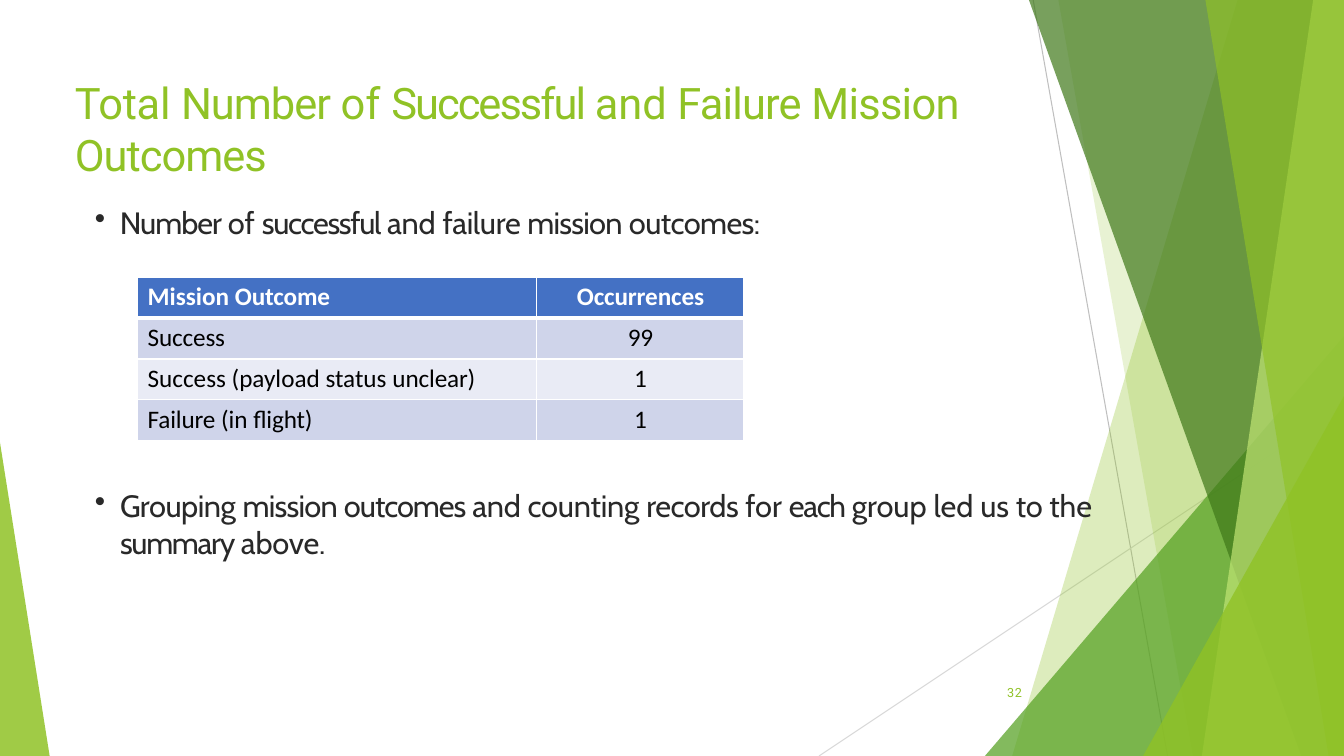
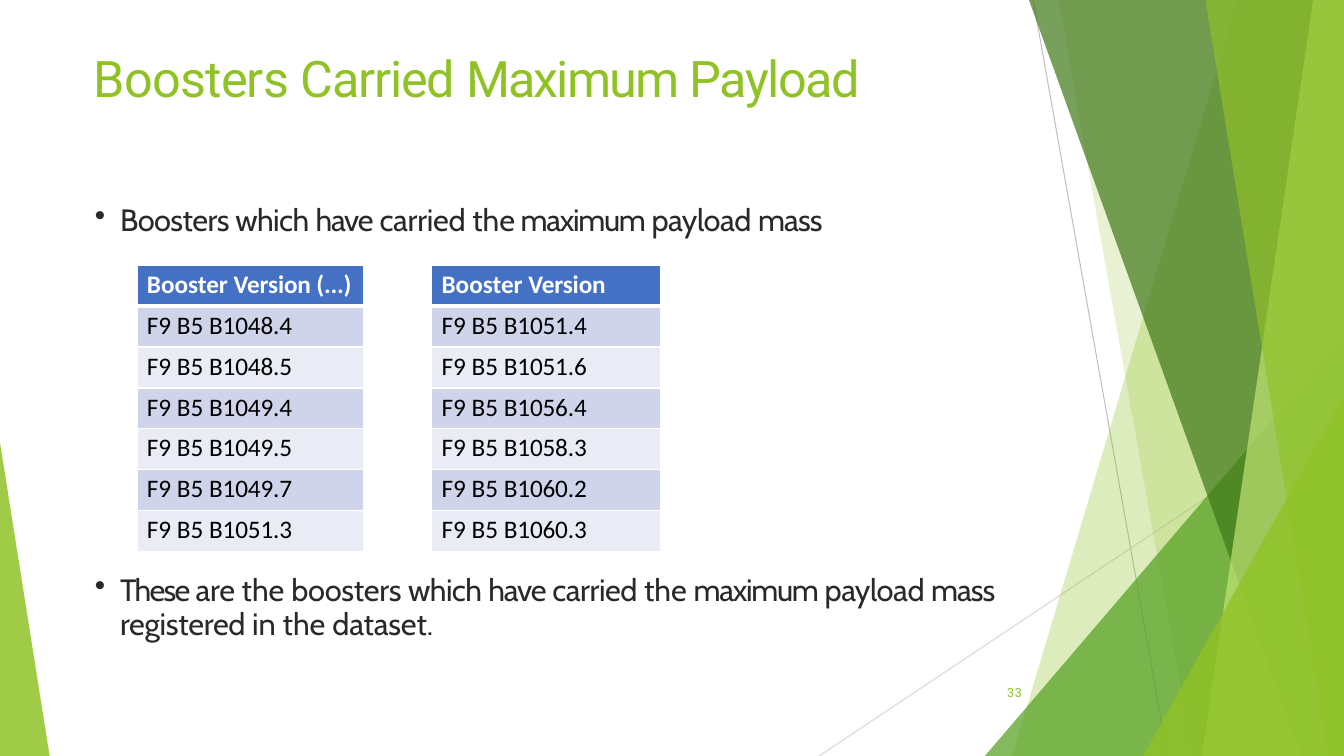
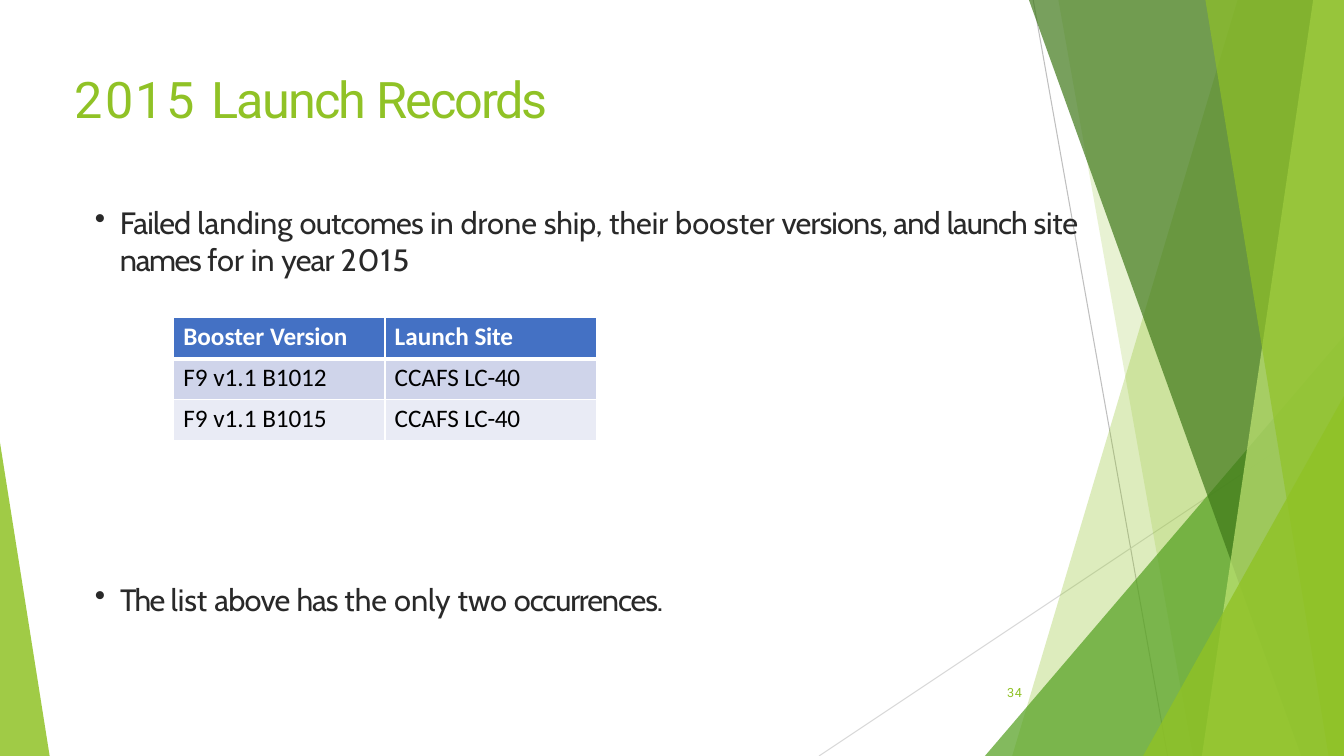
"""Build three slides on launch outcomes with green facet decoration."""
from lxml import etree
from pptx import Presentation
from pptx.dml.color import RGBColor
from pptx.enum.shapes import MSO_CONNECTOR, MSO_SHAPE
from pptx.enum.text import MSO_ANCHOR, MSO_AUTO_SIZE, PP_ALIGN
from pptx.oxml.ns import qn
from pptx.util import Pt

TRIANGLE = MSO_SHAPE.ISOSCELES_TRIANGLE
STRAIGHT = MSO_CONNECTOR.STRAIGHT
TOP, MIDDLE = MSO_ANCHOR.TOP, MSO_ANCHOR.MIDDLE
NO_AUTOSIZE = MSO_AUTO_SIZE.NONE
LEFT, CENTER, RIGHT = PP_ALIGN.LEFT, PP_ALIGN.CENTER, PP_ALIGN.RIGHT

WIDTH, HEIGHT = 960, 540
ROW_HEIGHT = 29.2
BULLET_LEFT = 67
BULLET_INDENT = 18
TITLE_BOX = (53.5, 48, 677, 104)
COLORS = {
    "green": "90C226",
    "mid green": "54A021",
    "dark green": "3F7819",
    "pale green": "C0E474",
    "text": "292929",
    "black": "000000",
    "white": "FFFFFF",
    "gray": "BFBFBF",
    "light gray": "D9D9D9",
    "header": "4471C4",
    "odd row": "CFD4EA",
    "even row": "E9EBF5",
}


def color(name):
    return RGBColor.from_string(COLORS[name])


def points(*values):
    return [Pt(value) for value in values]


class Deck:
    """Hold the shared style and the current slide."""

    def __init__(self):
        self.presentation = Presentation()
        self.presentation.slide_width = Pt(WIDTH)
        self.presentation.slide_height = Pt(HEIGHT)
        self.slide = None

    def add_slide(self, number, title_runs, title_size=36, title_box=TITLE_BOX, title_inset=1):
        layout = self.presentation.slide_layouts[5]
        self.slide = self.presentation.slides.add_slide(layout)
        self.decoration()
        title = self.slide.shapes.title
        title.left, title.top, title.width, title.height = points(*title_box)
        paragraph = self.frame(title, title_inset)
        self.runs(paragraph, title_runs, "Roboto", title_size, "green")
        self.page_number(number)

    def decoration(self):
        self.line(738, 0, 834, HEIGHT, "gray")
        self.line(WIDTH, 290, 585, HEIGHT, "light gray")
        self.facet(884, 723, "green", 30)
        self.facet(756, 852, "green", 20)
        self.triangle(703.5, 240, 256.5, 1, "mid green", 72)
        self.facet(735, 929.5, "dark green", 70)
        self.facet(938, 858.5, "pale green", 70)
        self.facet(861, 949, "green", 65)
        self.triangle(816.5, 283, 143.5, 1, "green", 80)
        self.triangle(0, 316, 35.5, 0, "green", 85)

    def line(self, x1, y1, x2, y2, name):
        connector = self.slide.shapes.add_connector(STRAIGHT, *points(x1, y1, x2, y2))
        connector.line.color.rgb = color(name)
        connector.line.width = Pt(0.75)
        etree.SubElement(connector._element.spPr, qn("a:effectLst"))

    def facet(self, top_x, bottom_x, name, opacity):
        builder = self.slide.shapes.build_freeform(Pt(top_x), Pt(0))
        corners = ((WIDTH, 0), (WIDTH, HEIGHT), (bottom_x, HEIGHT))
        builder.add_line_segments([points(*corner) for corner in corners])
        self.paint(builder.convert_to_shape(), name, opacity)

    def triangle(self, left, top, width, apex, name, opacity):
        box = points(left, top, width, HEIGHT - top)
        shape = self.slide.shapes.add_shape(TRIANGLE, *box)
        shape.adjustments[0] = apex
        self.paint(shape, name, opacity)

    def paint(self, shape, name, opacity):
        shape.shadow.inherit = False
        shape.fill.solid()
        shape.fill.fore_color.rgb = color(name)
        shape.line.fill.background()
        fill_color = shape._element.spPr.find(".//" + qn("a:srgbClr"))
        etree.SubElement(fill_color, qn("a:alpha"), val=str(opacity * 1000))

    def frame(self, shape, inset, anchor=TOP, align=LEFT):
        frame = shape.text_frame
        frame.word_wrap = True
        frame.auto_size = NO_AUTOSIZE
        frame.vertical_anchor = anchor
        frame.margin_left = frame.margin_right = frame.margin_bottom = 0
        frame.margin_top = Pt(inset)
        paragraph = frame.paragraphs[0]
        paragraph.alignment = align
        return paragraph

    def runs(self, paragraph, runs, font, size, name, bold=False):
        for text, spacing in runs:
            run = paragraph.add_run()
            run.text = text
            run.font.name = font
            run.font.size = Pt(size)
            run.font.bold = bold
            run.font.color.rgb = color(name)
            run._r.get_or_add_rPr().set("spc", str(round(spacing * 100)))

    def page_number(self, number):
        box = self.slide.shapes.add_textbox(*points(676, 476, 54, 29))
        paragraph = self.frame(box, 0, MIDDLE, RIGHT)
        paragraph.line_spacing = Pt(18.4)
        self.runs(paragraph, [(str(number), 0.5)], "Roboto", 9, "green")

    def bullet(self, top, width, height, runs, inset=1, line_spacing=None):
        box = self.slide.shapes.add_textbox(*points(BULLET_LEFT, top, width, height))
        paragraph = self.frame(box, inset)
        properties = paragraph._p.get_or_add_pPr()
        properties.set("marL", str(Pt(BULLET_INDENT + 0.7)))
        properties.set("indent", str(-Pt(BULLET_INDENT)))
        etree.SubElement(properties, qn("a:buChar"), char="•")
        tabs = etree.SubElement(properties, qn("a:tabLst"))
        etree.SubElement(tabs, qn("a:tab"), pos=str(Pt(BULLET_INDENT + 0.7)), algn="l")
        if line_spacing:
            paragraph.line_spacing = Pt(line_spacing)
        self.runs(paragraph, runs, "Cabin", 22, "text")

    def table(self, left, top, widths, rows, centered=()):
        size = points(left, top, sum(widths), ROW_HEIGHT * len(rows))
        table = self.slide.shapes.add_table(len(rows), len(widths), *size).table
        table.horz_banding = False
        for column, width in zip(table.columns, widths):
            column.width = Pt(width)
        for row_index, row in enumerate(rows):
            table.rows[row_index].height = Pt(ROW_HEIGHT)
            for column_index, runs in enumerate(row):
                cell = table.cell(row_index, column_index)
                self.cell(cell, row_index, runs, column_index in centered)

    def cell(self, cell, row_index, runs, centered):
        header = row_index == 0
        cell.margin_left = Pt(0 if centered else 7)
        cell.margin_right = cell.margin_bottom = 0
        cell.margin_top = Pt(3)
        self.borders(cell, 3 if row_index == 1 else 1, 3 if header else 1)
        cell.fill.solid()
        band = "odd row" if row_index % 2 else "even row"
        cell.fill.fore_color.rgb = color("header" if header else band)
        paragraph = cell.text_frame.paragraphs[0]
        paragraph.alignment = CENTER if centered else LEFT
        self.runs(paragraph, runs, "Calibri", 18, "white" if header else "black", header)

    def borders(self, cell, top, bottom):
        properties = cell._tc.get_or_add_tcPr()
        for side, width in (("L", 1), ("R", 1), ("T", top), ("B", bottom)):
            border = etree.SubElement(properties, qn("a:ln" + side), w=str(Pt(width)))
            fill = etree.SubElement(border, qn("a:solidFill"))
            etree.SubElement(fill, qn("a:srgbClr"), val=COLORS["white"])


def mission_outcomes(deck):
    deck.add_slide(32, [
        ("Total ", -0.2), ("Number ", -0.7), ("of ", 0), ("Successful ", -1.4),
        ("and ", 0), ("Failure ", -0.6), ("Mission ", -0.5), ("Outcomes", -0.7),
    ], title_size=31, title_inset=6)
    deck.bullet(144.5, 504, 28, [
        ("Number ", -0.7), ("of ", 0), ("successful ", -0.9), ("and ", -0.1),
        ("failure ", -0.2), ("mission", -0.5), (" outcomes:", -0.4),
    ])
    deck.table(98.5, 198, (285, 148), [
        [[("Mission ", 0), ("Outcome", -0.1)], [("Occurrences", -0.1)]],
        [[("Success", -0.1)], [("99", -0.2)]],
        [[("Success (payload status ", 0), ("unclear)", -0.1)], [("1", -0.5)]],
        [[("Failure ", -0.1), ("(in ", 0), ("flight)", -0.1)], [("1", -0.5)]],
    ], centered=(1,))
    deck.bullet(347, 721, 55, [
        ("Grouping ", -0.3), ("mission ", -0.5), ("outcomes ", -0.7),
        ("and counting ", -0.1), ("records ", -0.3), ("for ", 0), ("each ", -0.9),
        ("group led ", 0), ("us ", -0.1), ("to ", -0.2), ("the ", 0),
        ("summary ", -0.9), ("above.", -0.1),
    ])


def maximum_payload(deck):
    deck.add_slide(33, [
        ("Boosters ", -0.6), ("Carried ", -0.9), ("Maximum ", -1.4), ("Payload", -1.1),
    ], title_box=(BULLET_LEFT, 33, 562, 47))
    deck.bullet(142.5, 550, 28, [
        ("Boosters which ", -0.4), ("have ", -0.8), ("carried ", -0.2), ("the", 0),
        (" maximum ", -0.9), ("payload ", -0.3), ("mass", -0.6),
    ])
    booster_lists = (
        (98, 162, "Version (...)",
         ("B1048.4", "B1048.5", "B1049.4", "B1049.5", "B1049.7", "B1051.3")),
        (308.5, 163.5, "Version",
         ("B1051.4", "B1051.6", "B1056.4", "B1058.3", "B1060.2", "B1060.3")),
    )
    for left, width, heading, boosters in booster_lists:
        rows = [[[("Booster ", 0), (heading, -0.1)]]]
        rows += [[[("F9 B5 ", 0), (booster, -0.1)]] for booster in boosters]
        deck.table(left, 189.5, (width,), rows)
    deck.bullet(407, 683, 53, [
        ("These ", -1.2), ("are ", -0.2), ("the ", 0), ("boosters ", -0.2),
        ("which ", -0.4), ("have ", -0.8), ("carried ", -0.3), ("the ", 0),
        ("maximum ", -0.9), ("payload ", -0.3), ("mass ", -0.7),
        ("registered ", -0.2), ("in the ", 0), ("dataset.", -0.1),
    ], inset=3.6, line_spacing=23.8)


def launch_records(deck):
    deck.add_slide(34, [("2015 ", 1.6), ("Launch ", -1.4), ("Records", -1.6)])
    deck.bullet(144.5, 750, 55, [
        ("Failed ", -0.6), ("landing ", 0), ("outcomes ", -0.5), ("in drone ", 0),
        ("ship, ", -0.2), ("their booster ", 0), ("versions, and ", -0.6),
        ("launch ", -0.7), ("site ", -0.2), ("names ", -1), ("for in ", 0),
        ("year ", -0.6), ("2015", 0.7),
    ])
    rows = [[[("Booster ", 0), ("Version", -0.1)], [("Launch ", 0), ("Site", -0.2)]]]
    rows += [
        [[("F9 v1.1 ", 0), (booster, -0.1)], [("CCAFS", 0), (" LC-40", -0.2)]]
        for booster in ("B1012", "B1015")
    ]
    deck.table(124, 227, (151, 151), rows)
    deck.bullet(414, 436, 28, [
        ("The ", -1.2), ("list ", 0), ("above ", -0.5), ("has ", -0.8),
        ("the only two ", 0), ("occurrences.", -0.8),
    ])


def main():
    deck = Deck()
    mission_outcomes(deck)
    maximum_payload(deck)
    launch_records(deck)
    deck.presentation.save("out.pptx")


if __name__ == "__main__":
    main()
